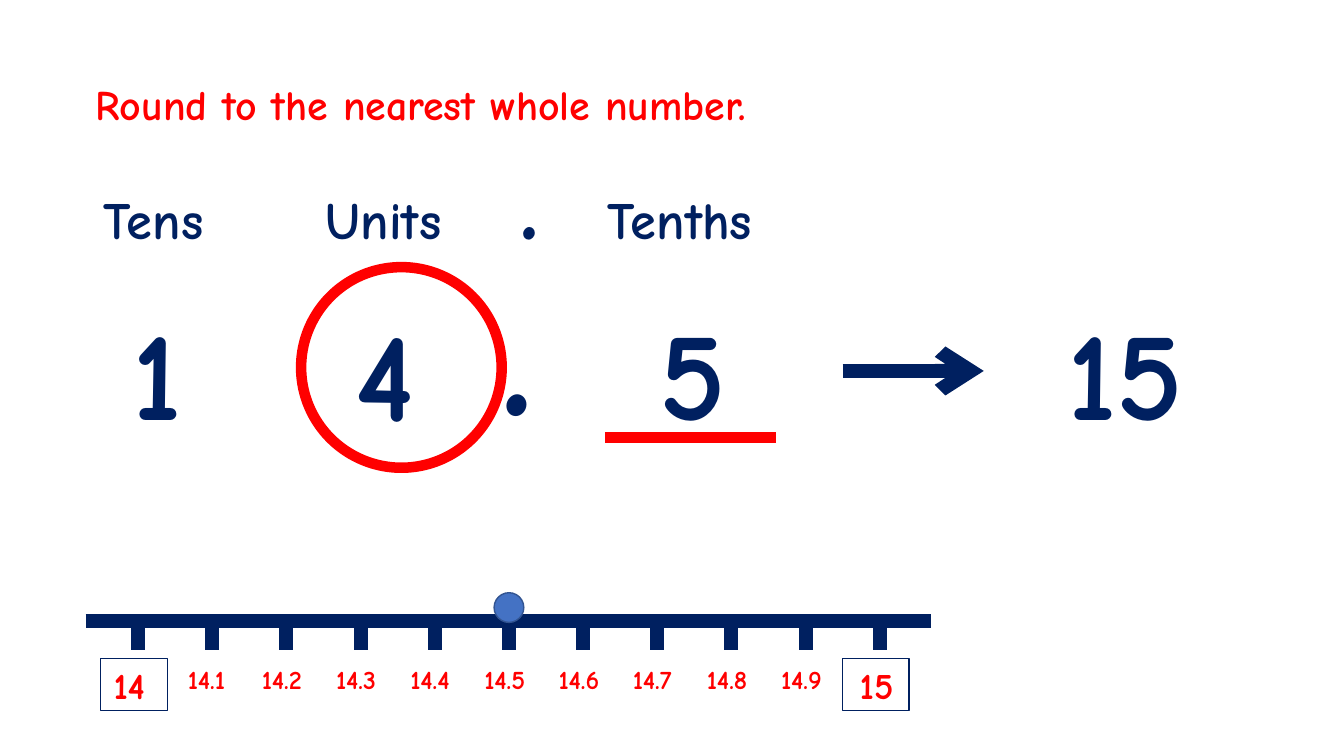
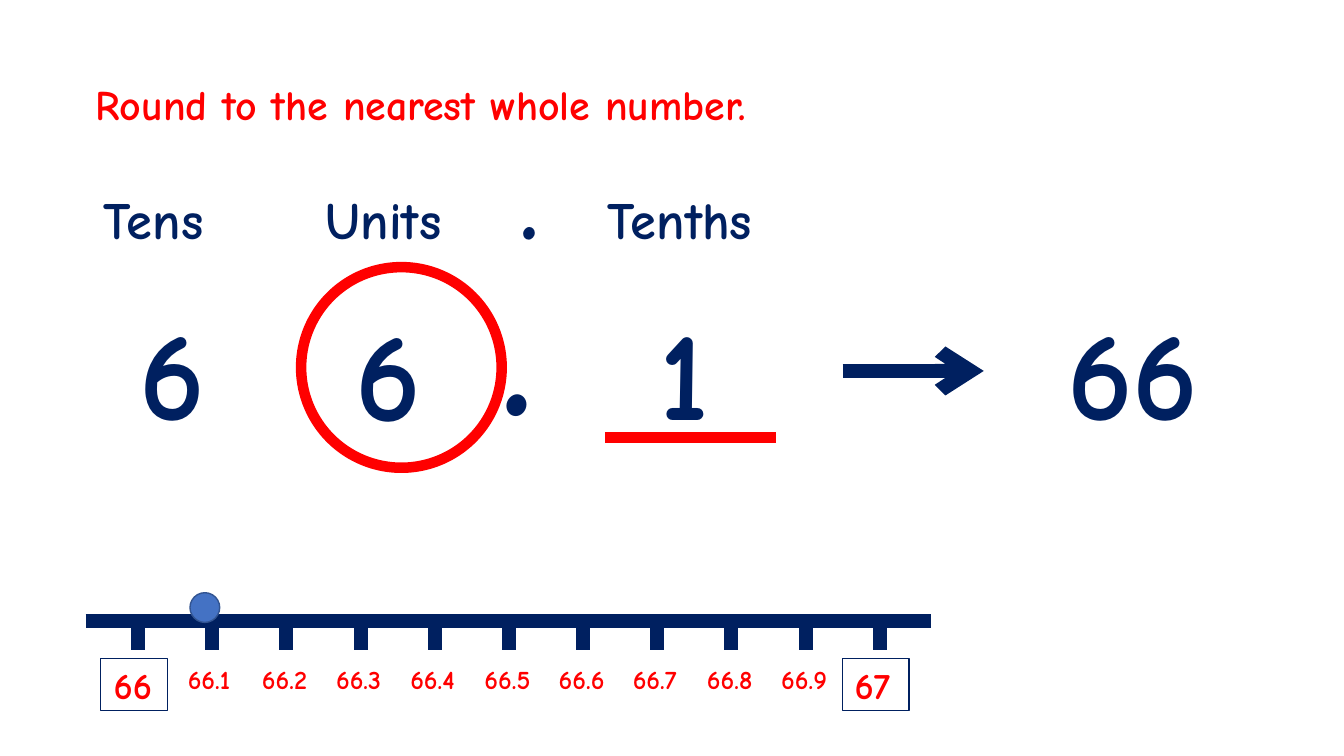
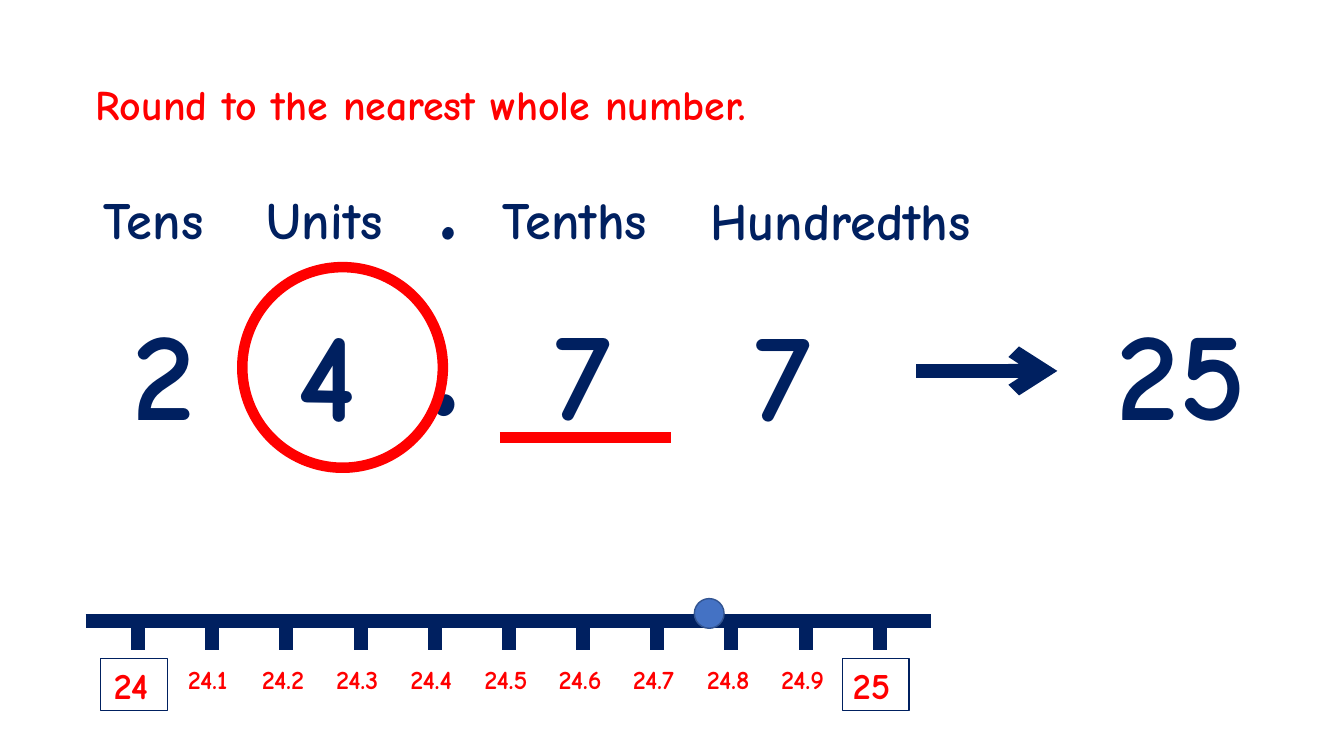
import pptx
import pptx.dml.color
import pptx.enum.shapes
import pptx.enum.text
import pptx.oxml
import pptx.oxml.ns
import pptx.util

RGB = pptx.dml.color.RGBColor
NAVY = RGB(0x00, 0x20, 0x60)
RED = RGB(0xFF, 0x00, 0x00)
BLUE = RGB(0x44, 0x72, 0xC4)
EDGE = RGB(0x32, 0x54, 0x91)
FONT = "Comic Neue"
SHAPE = pptx.enum.shapes.MSO_SHAPE

COLS, ROWS = 160, 90
WIDE, HIGH = pptx.util.Inches(13.333), pptx.util.Inches(7.5)
HEAD, DIGIT = 37.4, 89.7
HEAD_ROW, DIGIT_ROW = 21.7, 34.5
BAR_ROW, LABEL_ROW = 73.92, 78.36
FIRST, STEP = 16.44, 8.83


def col(n):
    return round(WIDE * n / COLS)


def row(n):
    return round(HIGH * n / ROWS)


def write(frame, text, size=HEAD, color=NAVY, bold=True):
    frame.word_wrap = False
    frame.auto_size = pptx.enum.text.MSO_AUTO_SIZE.SHAPE_TO_FIT_TEXT
    run = frame.paragraphs[0].add_run()
    run.text = text
    run.font.name = FONT
    run.font.size = pptx.util.Pt(size)
    run.font.bold = bold
    run.font.color.rgb = color


class Deck:
    def __init__(self):
        self.file = pptx.Presentation()
        self.file.slide_width = WIDE
        self.file.slide_height = HIGH
        self.slide = None

    def page(self):
        self.slide = self.file.slides.add_slide(self.file.slide_layouts[6])

    def text(self, x, y, w, h, words, **style):
        box = self.slide.shapes.add_textbox(col(x), row(y), col(w), row(h))
        write(box.text_frame, words, **style)

    def head(self, x, w, words, y=HEAD_ROW):
        self.text(x, y, w, 8.76, words)

    def digit(self, x, words, w=11.64, y=DIGIT_ROW):
        self.text(x, y, w, 19.32, words, size=DIGIT)

    def shape(self, kind, x, y, w, h, line, width, fill=None):
        item = self.slide.shapes.add_shape(kind, col(x), row(y), col(w), row(h))
        item.shadow.inherit = False
        if fill is None:
            item.fill.background()
        else:
            item.fill.solid()
            item.fill.fore_color.rgb = fill
        item.line.color.rgb = line
        item.line.width = pptx.util.Pt(width)

    def line(self, x1, y1, x2, y2, color=NAVY, width=10, arrow=False):
        item = self.slide.shapes.add_connector(
            pptx.enum.shapes.MSO_CONNECTOR.STRAIGHT,
            col(x1), row(y1), col(x2), row(y2))
        item.line.color.rgb = color
        item.line.width = pptx.util.Pt(width)
        if arrow:
            tip = pptx.oxml.parse_xml(
                "<a:tailEnd %s type='arrow'/>" % pptx.oxml.ns.nsdecls("a"))
            item.line._get_or_add_ln().append(tip)
        item._element.spPr.append(pptx.oxml.parse_xml(
            "<a:effectLst %s/>" % pptx.oxml.ns.nsdecls("a")))

    def scale(self, whole, mark, last, lift=0):
        self.line(10.2, BAR_ROW, 110.88, BAR_ROW)
        for i in range(11):
            x = FIRST + i * STEP
            self.line(x, BAR_ROW, x, 77.4)
            if 0 < i < 10:
                self.text(x - 4.1, LABEL_ROW, 9.48, 5.04,
                          f"{whole}.{i}", size=18.7, color=RED)
        for x, edge, value in ((12.36, 12, whole), (last, 100.32, whole + 1)):
            self.text(x, LABEL_ROW, 7.8, 6.48, str(value), size=26.2, color=RED)
            self.shape(SHAPE.RECTANGLE, edge, LABEL_ROW, 7.92, 6.24, NAVY, 1)
        self.shape(SHAPE.OVAL, FIRST + mark * STEP - 1.77, 70.56 + lift,
                   3.54, 3.54, EDGE, 1, BLUE)

    def sum(self, number, answer, tens, units, dots, tenths, arrow, result):
        self.page()
        self.text(10.2, 8.76, 93.84, 7.2, "Round to the nearest whole number.",
                  size=29.9, color=RED)
        self.head(11.16, 16.68, "Tens")
        self.head(units, 18.12, "Units")
        self.head(tenths, 23.28, "Tenths")
        self.text(dots[0], 15.48, 7.92, 16.32, ".", size=74.8)
        self.text(dots[1], 27.36, 11.88, 27.24, ".", size=129)
        self.digit(tens, number[0])
        self.digit(units + 3.6, number[1], y=DIGIT_ROW + 0.1)
        self.digit(tenths + 6.2, number[3])
        self.shape(SHAPE.OVAL, units - 1.75, 31.8, 23.88, 23.88, RED, 7.5)
        self.line(tenths + 0.85, 52.1, tenths + 21.2, 52.1, RED, 7.5)
        self.line(arrow, 44.16, arrow + 16.8, 44.16, arrow=True)
        self.digit(result, answer, w=20.88)
        if number[4:]:
            self.head(83.4, 37.44, "Hundredths", y=HEAD_ROW + 0.14)
            self.digit(88.68, number[4], y=DIGIT_ROW + 0.1)


def main():
    deck = Deck()
    near = dict(units=37.6, dots=(60.84, 58.56), tenths=71.16,
                arrow=100.32, result=125.88)
    far = dict(units=30.6, dots=(51.12, 49.92), tenths=58.65,
               arrow=109.08, result=131.76)
    deck.sum("14.5", "15", tens=14.64, **near)
    deck.scale(14, mark=5, last=101.16)
    deck.sum("66.1", "66", tens=15.48, **near)
    deck.scale(66, mark=0.9, last=100.56)
    deck.sum("24.77", "25", tens=14.64, **far)
    deck.scale(24, mark=7.7, last=100.32, lift=0.7)
    deck.file.save("out.pptx")


if __name__ == "__main__":
    main()
